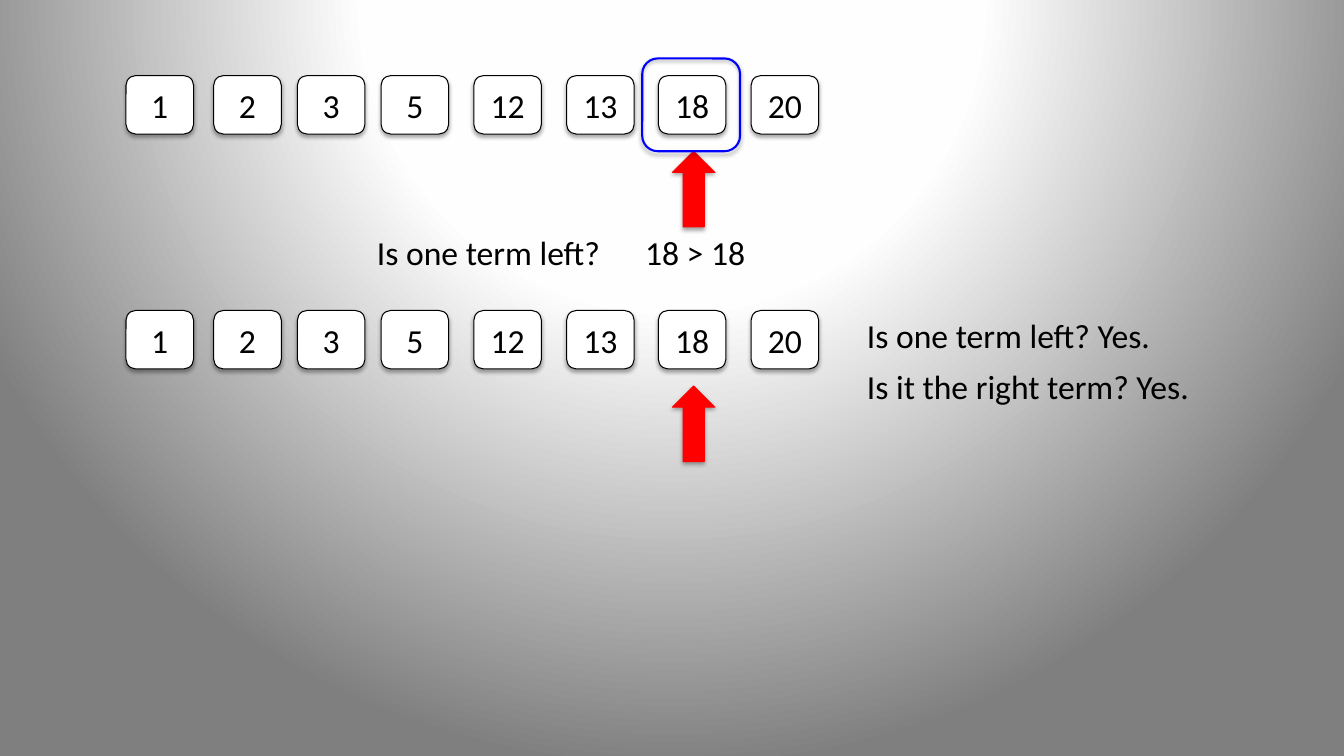
from lxml.etree import SubElement
from pptx import Presentation
from pptx.dml.color import RGBColor
from pptx.enum.shapes import MSO_SHAPE
from pptx.enum.text import MSO_ANCHOR, MSO_AUTO_SIZE, PP_ALIGN
from pptx.oxml import parse_xml
from pptx.oxml.ns import nsdecls, qn
from pptx.util import Inches, Pt

COLORS = {
    "black": "000000", "white": "FFFFFF", "red": "FF0000", "blue": "0000FF",
    "center": "FEFEFE", "edge": "7F7F7F",
}
FONT = {"name": "Calibri", "size": Pt(24)}
TILES = [("1", 1.25), ("2", 2.12), ("3", 2.95), ("5", 3.78),
         ("12", 4.7), ("13", 5.62), ("18", 6.53), ("20", 7.45)]
ROW_TOPS = [0.75, 3.08]
LABELS = [
    ("Is one term left?", 3.64, 2.25, 2.44),
    ("18 > 18", 6.3, 2.25, 1.2),
    ("Is one term left? Yes.", 8.5, 3.08, 3.07),
    ("Is it the right term? Yes.", 8.5, 3.58, 3.46),
]


def add_box(shapes, kind, place, fill, line, width=0.75):
    box = shapes.add_shape(kind, *[Inches(value) for value in place])
    if fill:
        box.fill.solid()
        box.fill.fore_color.rgb = RGBColor.from_string(COLORS[fill])
    else:
        box.fill.background()
    box.line.color.rgb = RGBColor.from_string(COLORS[line])
    box.line.width = Pt(width)
    # Soft shadow straight below the shape
    box.shadow.inherit = False
    effects = box.element.spPr.find(qn("a:effectLst"))
    shadow = SubElement(effects, qn("a:outerShdw"), blurRad=str(Pt(3.1)),
                        dist=str(Pt(1.8)), dir="5400000", rotWithShape="0")
    color = SubElement(shadow, qn("a:srgbClr"), val=COLORS["black"])
    SubElement(color, qn("a:alpha"), val="35000")
    return box


def write(box, text):
    para = box.text_frame.paragraphs[0]
    span = para.add_run()
    span.text = text
    for name, value in FONT.items():
        setattr(span.font, name, value)
    span.font.color.rgb = RGBColor.from_string(COLORS["black"])
    return para


deck = Presentation()
deck.slide_width, deck.slide_height = Inches(13.33), Inches(7.5)
page = deck.slides.add_slide(deck.slide_layouts[6])

# Background: a round glow centred above the page
page.background.fill.gradient()
plain = next(page.element.iter(qn("a:gradFill")))
stops = "".join(
    f'<a:gs pos="{position * 1000}"><a:srgbClr val="{COLORS[name]}"/></a:gs>'
    for position, name in [(0, "white"), (40, "center"), (100, "edge")])
glow = parse_xml(
    f'<a:gradFill {nsdecls("a")} rotWithShape="1"><a:gsLst>{stops}</a:gsLst>'
    '<a:path path="circle"><a:fillToRect l="50000" t="-80000" r="50000" '
    'b="180000"/></a:path></a:gradFill>')
plain.getparent().replace(plain, glow)

# Arrows below the term 18, and the ring around it
for row_top in ROW_TOPS:
    add_box(page.shapes, MSO_SHAPE.UP_ARROW, (6.67, row_top + 0.75, 0.42, 0.75),
            "red", "red")
add_box(page.shapes, MSO_SHAPE.ROUNDED_RECTANGLE, (6.37, 0.58, 0.97, 0.92),
        None, "blue", 1.5)

# Two rows of number tiles
for row_top in ROW_TOPS:
    row = page.shapes.add_group_shape()
    for number, left in TILES:
        tile = add_box(row.shapes, MSO_SHAPE.ROUNDED_RECTANGLE,
                       (left, row_top, 0.67, 0.58), "white", "black")
        tile.text_frame.vertical_anchor = MSO_ANCHOR.MIDDLE
        write(tile, number).alignment = PP_ALIGN.CENTER

# Questions and comparison
for text, left, top, width in LABELS:
    label = page.shapes.add_textbox(Inches(left), Inches(top),
                                    Inches(width), Inches(0.5))
    label.text_frame.word_wrap = False
    label.text_frame.auto_size = MSO_AUTO_SIZE.SHAPE_TO_FIT_TEXT
    write(label, text)

deck.save("out.pptx")
